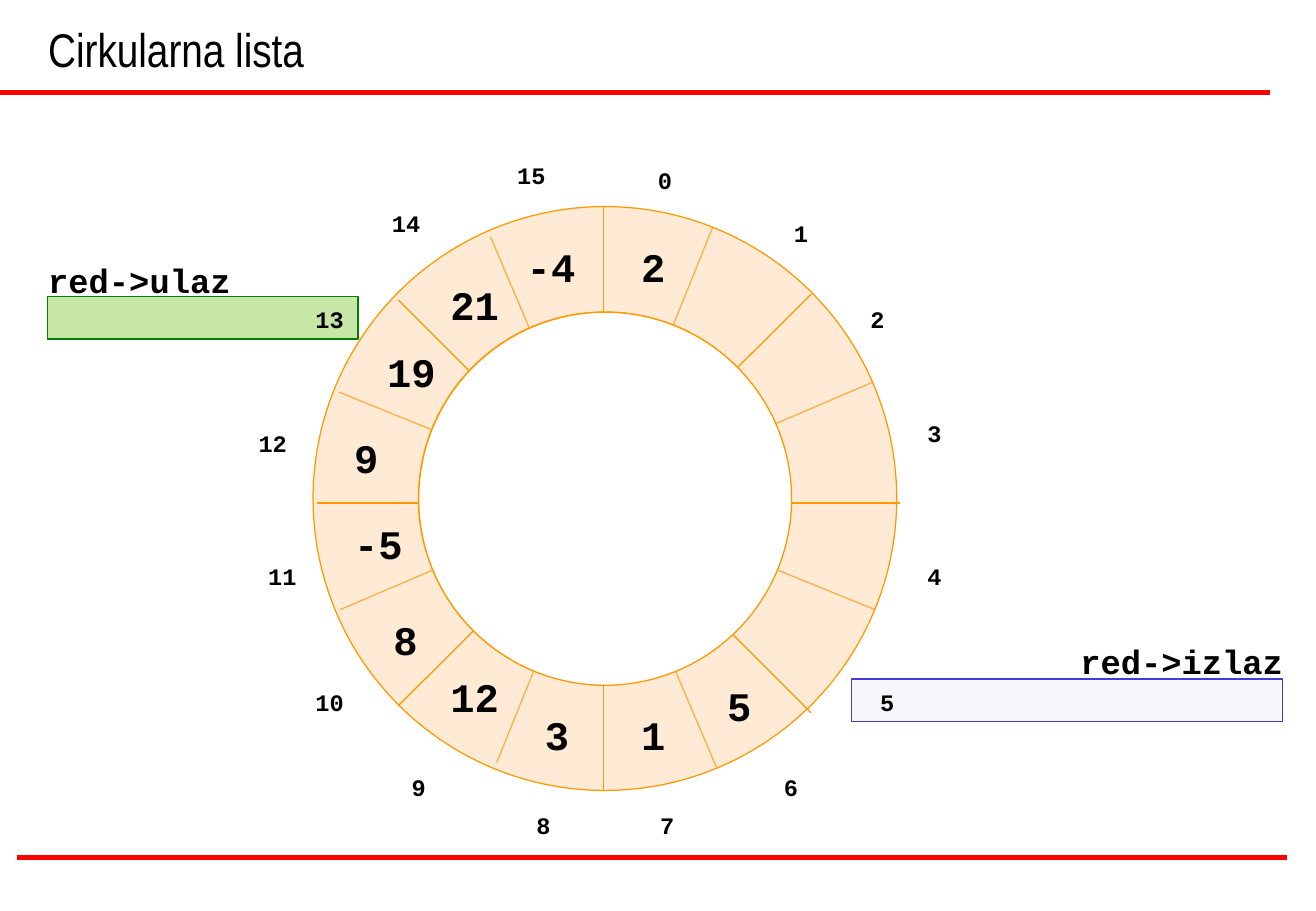
from lxml.etree import SubElement
from pptx import Presentation
from pptx.dml.color import RGBColor as Rgb
from pptx.enum.shapes import MSO_CONNECTOR as Link, MSO_SHAPE as Preset
from pptx.enum.text import MSO_ANCHOR as Anchor, MSO_AUTO_SIZE as Fit
from pptx.oxml.ns import qn
from pptx.util import Cm, Pt

COLOURS = {"rule": "FF0000", "ring": "FFCC99", "divider": "FF9900", "hole": "FFFFFF",
           "input": "92D050", "input edge": "008000", "output": "EEEEF9",
           "output edge": "3D3DD7", "text": "000000"}
TITLE = {"name": "Arial Narrow", "size": Pt(28), "bold": False}
POINTER = {"name": "Courier New", "size": Pt(20), "bold": True}
INDEX = {**POINTER, "size": Pt(14)}
VALUE = {**POINTER, "size": Pt(24)}

RULES = [(0, 1.93, 26.57, 1.93), (0.36, 17.93, 26.92, 17.93)]
MINOR_DIVIDERS = [(14.91, 4.75, 10.39, 15.95), (18.31, 12.75, 7.09, 8.2),
                  (18.24, 8, 7.11, 12.75), (14.99, 16.05, 10.26, 4.95)]
MAJOR_DIVIDERS = [(12.62, 4.32, 12.62, 16.54), (18.82, 10.52, 6.63, 10.52),
                  (16.97, 6.15, 8.33, 14.76), (16.97, 14.91, 8.33, 6.27)]
INDEX_PLACES = [(13.51, 3.35), (16.36, 4.45), (17.96, 6.25), (19.15, 8.64),
                (19.15, 11.63), (18.16, 14.25), (16.15, 16.03), (13.56, 16.84),
                (10.97, 16.84), (8.36, 16.03), (6.35, 14.25), (5.36, 11.63),
                (5.16, 8.84), (6.35, 6.25), (7.95, 4.24), (10.57, 3.23)]
VALUES = [("2", 13.16, 4.93), ("5", 14.96, 14.12), ("1", 13.16, 14.73),
          ("3", 11.15, 14.73), ("12", 9.17, 13.92), ("8", 7.98, 12.73),
          ("-5", 7.16, 10.72), ("9", 7.16, 8.92), ("19", 7.85, 7.14),
          ("21", 9.17, 5.72), ("-4", 10.77, 4.93)]
RING_SIZE, HOLE_SIZE = 12.21, 7.8


class Drawing:
    """Adds styled elements to the current slide."""

    def __init__(self, page):
        self.page = page

    def colour(self, name):
        return Rgb.from_string(COLOURS[name])

    def line(self, ends, colour, weight=0.75):
        line = self.page.shapes.add_connector(Link.STRAIGHT, *map(Cm, ends))
        line.line.color.rgb = self.colour(colour)
        line.line.width = Pt(weight)
        SubElement(line.element.spPr, qn("a:effectLst"))

    def shape(self, preset, place, fill, edge, opacity=100):
        shape = self.page.shapes.add_shape(preset, *map(Cm, place))
        shape.shadow.inherit = False
        shape.fill.solid()
        shape.fill.fore_color.rgb = self.colour(fill)
        shape.line.color.rgb = self.colour(edge)
        shape.line.width = Pt(0.75)
        if opacity < 100:
            tint = shape.element.spPr.find(qn("a:solidFill"))[0]
            SubElement(tint, qn("a:alpha")).set("val", str(opacity * 1000))
        return shape

    def text(self, words, place, style, **frame):
        box = self.page.shapes.add_textbox(*map(Cm, place))
        for key, value in frame.items():
            setattr(box.text_frame, key, value)
        para = box.text_frame.paragraphs[0]
        span = para.add_run()
        span.text = words
        for key, value in style.items():
            setattr(span.font, key, value)
        span.font.color.rgb = self.colour("text")

    def label(self, words, left, top, style):
        size = style["size"].pt
        place = left, top, 0.51 + len(words) * size * 0.0212, 0.25 + size * 0.0423
        self.text(words, place, style, word_wrap=False, auto_size=Fit.SHAPE_TO_FIT_TEXT)


def main():
    deck = Presentation()
    deck.slide_width, deck.slide_height = Cm(27.53), Cm(19.05)
    drawing = Drawing(deck.slides.add_slide(deck.slide_layouts[6]))

    for ends in RULES:
        drawing.line(ends, "rule", 3)
    drawing.text("Cirkularna lista", (0.76, 0, 25.81, 1.73), TITLE,
                 word_wrap=True, vertical_anchor=Anchor.BOTTOM)

    drawing.shape(Preset.RECTANGLE, (17.81, 14.2, 9.02, 0.89), "output", "output edge", 50)
    drawing.label("red->izlaz", 22.35, 13.28, POINTER)
    drawing.shape(Preset.RECTANGLE, (0.99, 6.2, 6.5, 0.89), "input", "input edge", 50)
    drawing.label("red->ulaz", 0.76, 5.31, POINTER)

    for ends in MINOR_DIVIDERS:
        drawing.line(ends, "divider")
    ring = drawing.shape(Preset.DONUT, (6.55, 4.32, RING_SIZE, RING_SIZE),
                         "ring", "divider", 40)
    ring.adjustments[0] = (RING_SIZE - HOLE_SIZE) / 2 / RING_SIZE
    for ends in MAJOR_DIVIDERS:
        drawing.line(ends, "divider")
    drawing.shape(Preset.OVAL, (8.76, 6.53, HOLE_SIZE, HOLE_SIZE), "hole", "divider")

    for index, (left, top) in enumerate(INDEX_PLACES):
        drawing.label(str(index), left, top, INDEX)
    for value, left, top in VALUES:
        drawing.label(value, left, top, VALUE)

    deck.save("out.pptx")


if __name__ == "__main__":
    main()
